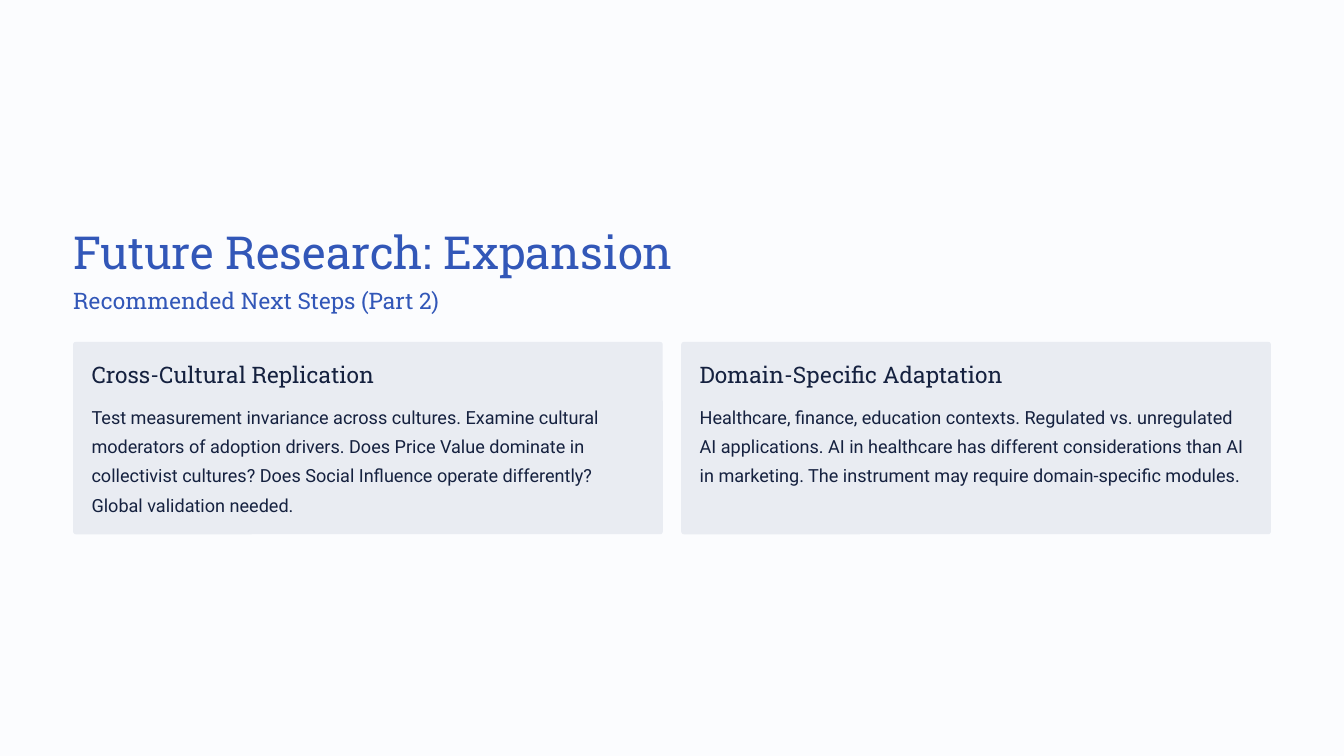
from pptx import Presentation
from pptx.dml.color import RGBColor
from pptx.enum.shapes import MSO_SHAPE as Shape
from pptx.enum.text import MSO_ANCHOR as Anchor, MSO_AUTO_SIZE as AutoSize, PP_ALIGN as Align
from pptx.util import Pt

PAPER = RGBColor(0xFB, 0xFC, 0xFE)
BLUE = RGBColor(0x32, 0x57, 0xB8)
CARD_FILL = RGBColor(0xE9, 0xEC, 0xF2)
INK = RGBColor(0x15, 0x21, 0x3F)

LEFT = 62.64
CARD_TOP, CARD_WIDTH, CARD_HEIGHT = 293.04, 505.44, 164.88
CARD_GAP = 15.84
PADDING = 15.84

CARDS = [
    ("Cross-Cultural Replication",
     "Test measurement invariance across cultures. Examine cultural moderators of "
     "adoption drivers. Does Price Value dominate in collectivist cultures? Does Social "
     "Influence operate differently? Global validation needed."),
    ("Domain-Specific Adaptation",
     "Healthcare, finance, education contexts. Regulated vs. unregulated AI applications. "
     "AI in healthcare has different considerations than AI in marketing. The instrument "
     "may require domain-specific modules."),
]

deck = Presentation()
deck.slide_width, deck.slide_height = Pt(1152), Pt(648)
page = deck.slides.add_slide(deck.slide_layouts[5])
page.background.fill.solid()
page.background.fill.fore_color.rgb = PAPER


def write(text, left, top, width, height, box=None, size=19.5, leading=24,
          color=INK, font="Roboto Slab", wrap=False):
    """Fill the given box, or a new text box, with one formatted paragraph."""
    if box is None:
        box = page.shapes.add_textbox(0, 0, 0, 0)
    box.left, box.top, box.width, box.height = Pt(left), Pt(top), Pt(width), Pt(height)
    frame = box.text_frame
    frame.margin_left = frame.margin_right = frame.margin_top = frame.margin_bottom = 0
    frame.auto_size = AutoSize.NONE
    frame.vertical_anchor = Anchor.TOP
    frame.word_wrap = wrap
    para = frame.paragraphs[0]
    para.alignment = Align.LEFT
    para.line_spacing = Pt(leading)
    span = para.add_run()
    span.text = text
    span.font.name = font
    span.font.size = Pt(size)
    span.font.color.rgb = color


write("Future Research: Expansion", LEFT, 190.08, 514.8, 48.96,
      box=page.shapes.title, size=39, leading=48.5, color=BLUE)
write("Recommended Next Steps (Part 2)", LEFT, 244.8, 313.2, 24.48, color=BLUE)

for index, (heading, body) in enumerate(CARDS):
    card_left = LEFT + index * (CARD_WIDTH + CARD_GAP)
    card = page.shapes.add_shape(Shape.ROUNDED_RECTANGLE, Pt(card_left), Pt(CARD_TOP),
                                 Pt(CARD_WIDTH), Pt(CARD_HEIGHT))
    card.adjustments[0] = 0.014
    card.shadow.inherit = False
    card.fill.solid()
    card.fill.fore_color.rgb = CARD_FILL
    card.line.fill.background()

    text_left = card_left + PADDING
    text_width = CARD_WIDTH - 2 * PADDING
    write(heading, text_left, CARD_TOP + PADDING, text_width, 24.48)
    write(body, text_left, 342, text_width, 100.08,
          size=15.5, leading=25, font="Roboto", wrap=True)

deck.save("out.pptx")
